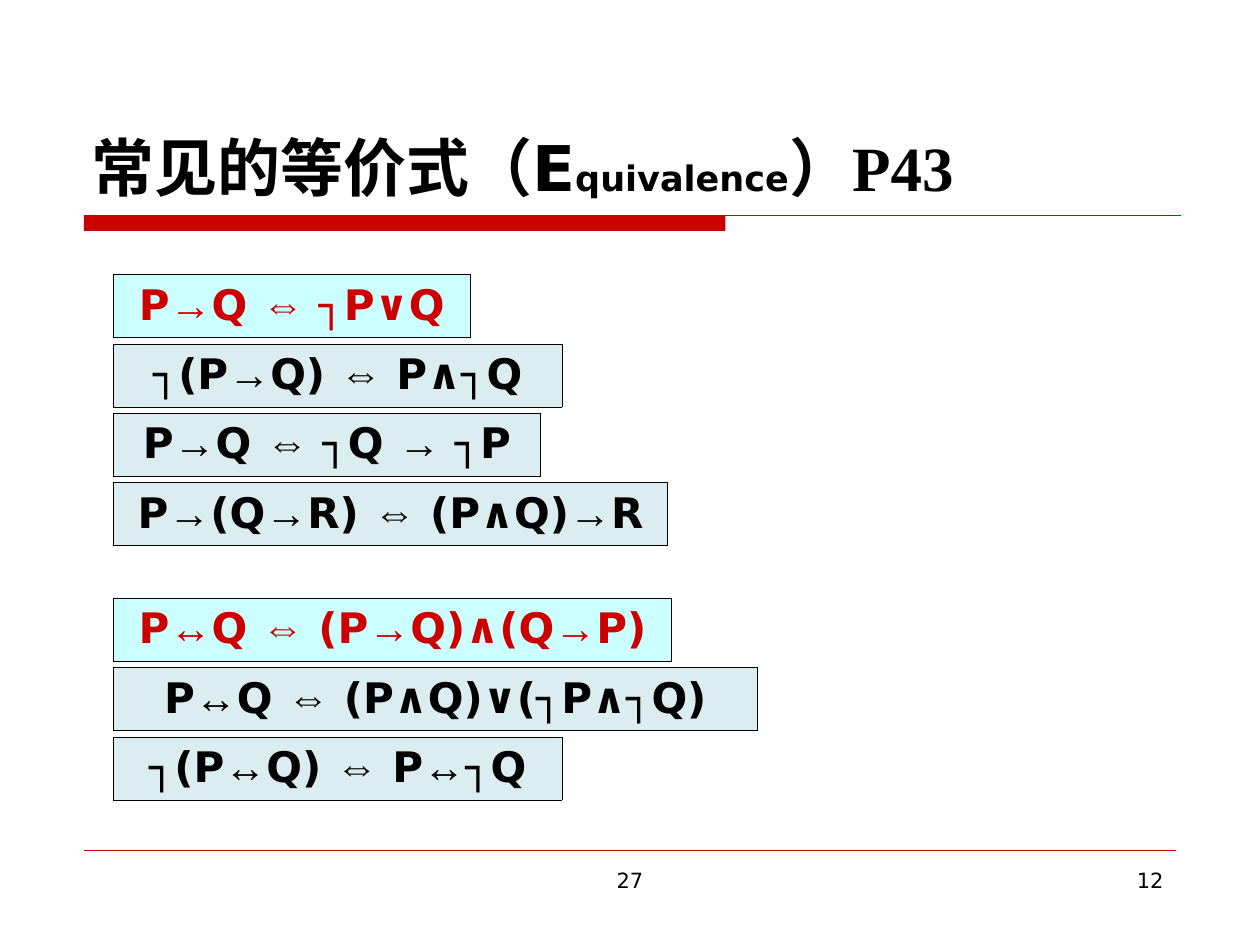
import dataclasses
import itertools

import lxml.etree
import pptx
import pptx.dml.color
import pptx.enum.shapes
import pptx.enum.text
import pptx.oxml.ns
import pptx.util

Pt = pptx.util.Pt
Align = pptx.enum.text.PP_ALIGN
Shape = pptx.enum.shapes.MSO_SHAPE
qn = pptx.oxml.ns.qn


@dataclasses.dataclass(frozen=True)
class Theme:
    red: str = "CC0000"
    black: str = "000000"
    cyan: str = "CCFFFF"
    pale: str = "DBEDF1"
    sans: str = "DejaVu Sans"
    serif: str = "Times New Roman"
    sign: str = "Arial"
    title: int = 36
    small: int = 20
    body: int = 24
    foot: int = 12


THEME = Theme()
ARROWS = "→↔⇔"
LEFT, HIGH, STEP = 64.8, 36, 39.6

# Each group: top, then (formula, box width); the first one stands out
GROUPS = [
    (157, [("P→Q ⇔ ┐P∨Q", 203.8),
           ("┐(P→Q) ⇔ P∧┐Q", 256.3),
           ("P→Q ⇔ ┐Q → ┐P", 244.1),
           ("P→(Q→R) ⇔ (P∧Q)→R", 316.8)]),
    (342, [("P↔Q ⇔ (P→Q)∧(Q→P)", 319),
           ("P↔Q ⇔ (P∧Q)∨(┐P∧┐Q)", 367.9),
           ("┐(P↔Q) ⇔ P↔┐Q", 256.3)]),
]


def tint(code):
    return pptx.dml.color.RGBColor.from_string(code)


def write(para, text, size, color=THEME.black, font=THEME.sans,
          bold=False, align=Align.LEFT):
    """Add text to a paragraph, with arrows in their own font."""
    para.alignment = align
    for sign, chars in itertools.groupby(text, lambda char: char in ARROWS):
        run = para.add_run()
        run.text = "".join(chars)
        run.font.name = THEME.sign if sign else font
        run.font.size = Pt(size)
        run.font.bold = bold
        run.font.color.rgb = tint(color)


def label(slide, left, top, width, height, anchor="TOP"):
    """Add a text box and return its first paragraph."""
    box = slide.shapes.add_textbox(Pt(left), Pt(top), Pt(width), Pt(height))
    frame = box.text_frame
    frame.word_wrap = True
    frame.vertical_anchor = getattr(pptx.enum.text.MSO_ANCHOR, anchor)
    return frame.paragraphs[0]


def rule(slide, left, right, top, weight):
    line = slide.shapes.add_connector(
        pptx.enum.shapes.MSO_CONNECTOR.STRAIGHT,
        Pt(left), Pt(top), Pt(right), Pt(top))
    line.line.color.rgb = tint(THEME.red)
    line.line.width = Pt(weight)
    lxml.etree.SubElement(line._element.spPr, qn("a:effectLst"))


def bar(slide, left, top, width, height):
    shape = slide.shapes.add_shape(
        Shape.RECTANGLE, Pt(left), Pt(top), Pt(width), Pt(height))
    shape.shadow.inherit = False
    shape.fill.solid()
    shape.fill.fore_color.rgb = tint(THEME.red)
    shape.line.fill.background()


def border(cell, weight):
    props = cell._tc.get_or_add_tcPr()
    for side in ("lnL", "lnR", "lnT", "lnB"):
        edge = lxml.etree.SubElement(
            props, qn("a:" + side), w=str(int(Pt(weight))))
        fill = lxml.etree.SubElement(edge, qn("a:solidFill"))
        lxml.etree.SubElement(fill, qn("a:srgbClr"), val=THEME.black)


def law(slide, text, top, width, key):
    """Add one formula in a single-cell table."""
    table = slide.shapes.add_table(
        1, 1, Pt(LEFT), Pt(top), Pt(width), Pt(HIGH)).table
    table.first_row = table.horz_banding = False
    cell = table.cell(0, 0)
    border(cell, 0.45)
    cell.fill.solid()
    cell.fill.fore_color.rgb = tint(THEME.cyan if key else THEME.pale)
    write(cell.text_frame.paragraphs[0], text, THEME.body, bold=True,
          color=THEME.red if key else THEME.black, align=Align.CENTER)


def main():
    deck = pptx.Presentation()
    deck.slide_width, deck.slide_height = Pt(720), Pt(540)
    slide = deck.slides.add_slide(deck.slide_layouts[6])

    # Rules above and below the content
    bar(slide, 48, 123, 366.5, 9)
    rule(slide, 48, 674.6, 123, 0.75)
    rule(slide, 48, 672, 486, 0.25)

    # Footer numbers
    write(label(slide, 246, 492, 228, 37.5), "27", THEME.foot,
          align=Align.CENTER)
    write(label(slide, 516, 492, 156, 37.5), "12", THEME.foot,
          align=Align.RIGHT)

    # Title
    title = label(slide, 45, 24, 630, 96, anchor="BOTTOM")
    write(title, "常见的等价式（E", THEME.title, bold=True)
    write(title, "quivalence", THEME.small, bold=True)
    write(title, "）", THEME.title, bold=True)
    write(title, "P43", THEME.title, font=THEME.serif, bold=True)

    # Formulas
    for top, laws in GROUPS:
        for row, (text, width) in enumerate(laws):
            law(slide, text, top + row * STEP, width, key=row == 0)

    deck.save("out.pptx")


if __name__ == "__main__":
    main()
